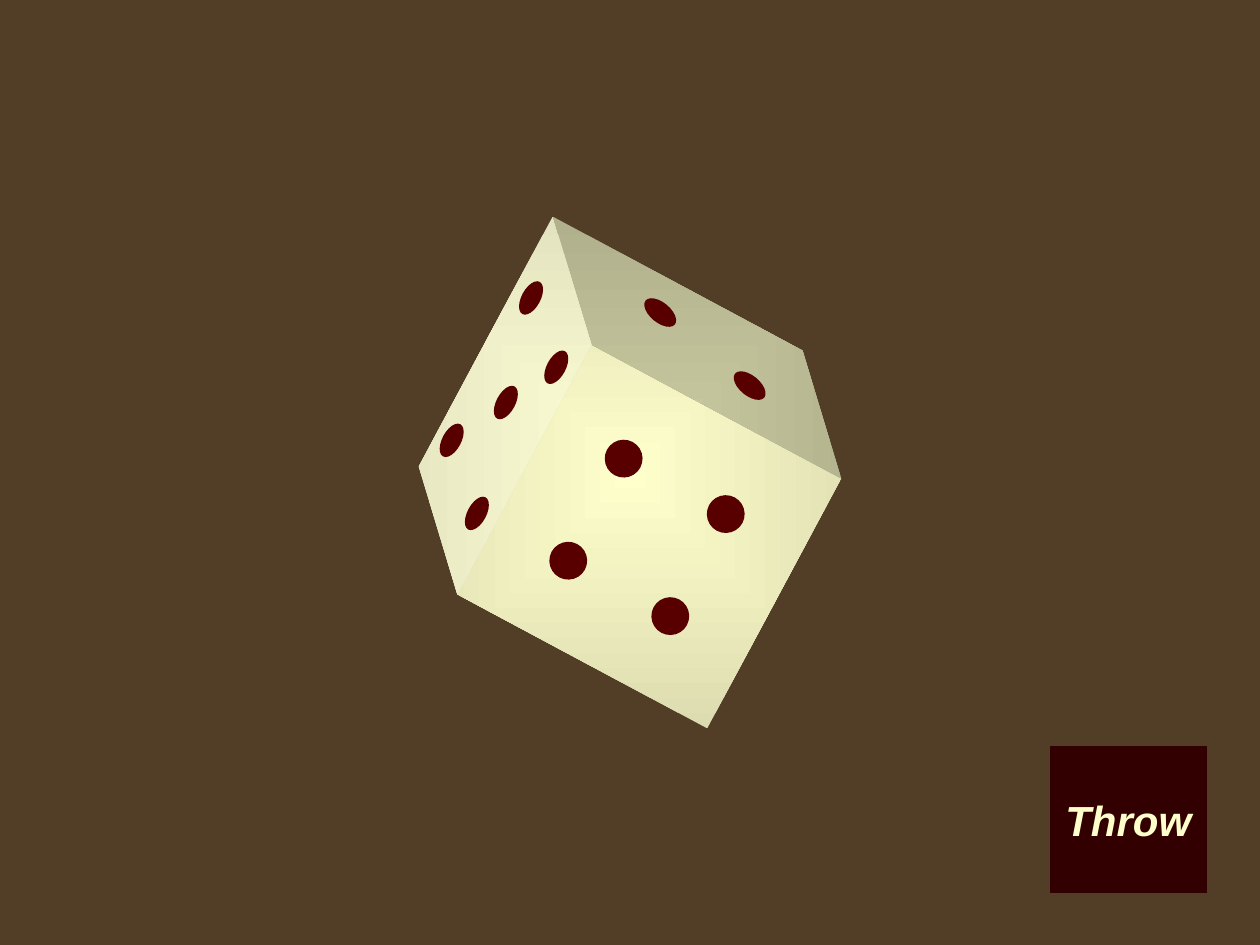
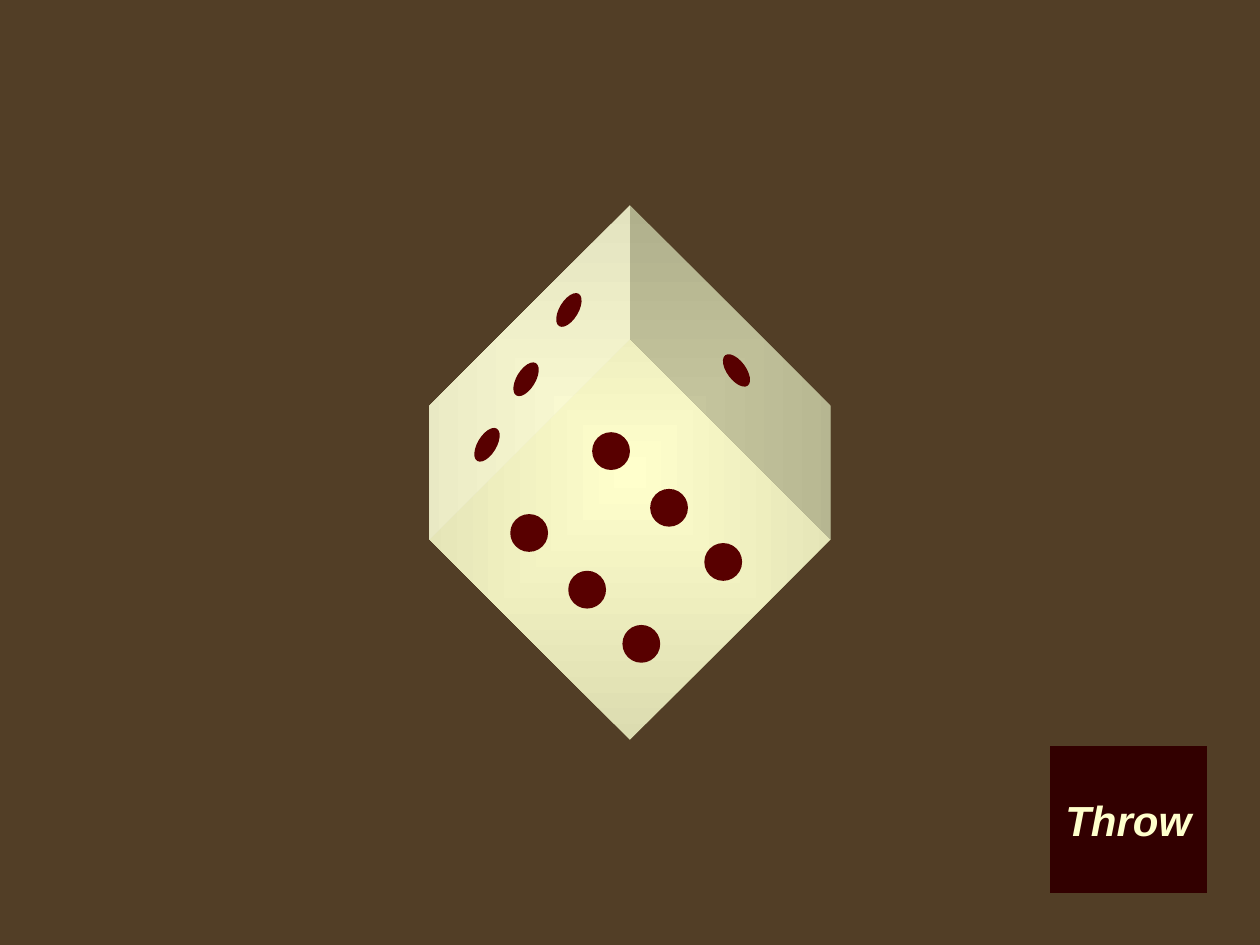
from dataclasses import dataclass

from lxml.etree import SubElement as add_sub
from pptx import Presentation
from pptx.dml.color import RGBColor
from pptx.enum.shapes import MSO_SHAPE as Kind
from pptx.enum.text import MSO_ANCHOR as Anchor, PP_ALIGN as Align
from pptx.oxml.ns import qn
from pptx.shapes.autoshape import Shape
from pptx.slide import Slide
from pptx.util import Inches, Pt

TABLE = "523E26"
IVORY = "FFFFCC"
SHADE = "DCDCB0"
PIP = "580000"
BUTTON = "320000"
FONT = "Arial"

Spot = tuple[float, float]


@dataclass
class Face:
    width: float
    height: float
    turn: float
    spots: list[Spot]


@dataclass
class Die:
    turn: float
    faces: list[Face]


def tint(code: str) -> RGBColor:
    return RGBColor.from_string(code)


def two_rows(row: list[Spot], right: float, down: float) -> list[Spot]:
    return row + [(x + right, y + down) for x, y in row]


def add_form(slide: Slide, kind: Kind, left: float, top: float,
             width: float, height: float, color: str, turn: float = 0) -> Shape:
    form = slide.shapes.add_shape(
        kind, Inches(left), Inches(top), Inches(width), Inches(height))
    form.rotation = turn
    form.shadow.inherit = False
    form.fill.solid()
    form.fill.fore_color.rgb = tint(color)
    form.line.fill.background()
    return form


def glow(form: Shape) -> None:
    form.fill.gradient()
    for stop, color in zip(form.fill.gradient_stops, (IVORY, SHADE)):
        stop.color.rgb = tint(color)
    grad = form.element.spPr.find(qn("a:gradFill"))
    grad.set("rotWithShape", "0")
    grad.remove(grad.find(qn("a:lin")))
    route = add_sub(grad, qn("a:path"), {"path": "rect"})
    add_sub(route, qn("a:fillToRect"), dict.fromkeys("ltrb", "50000"))


def add_die(slide: Slide, die: Die) -> None:
    cube = add_form(slide, Kind.CUBE, 3.5, 2.25, 3, 3, IVORY, die.turn)
    cube.adjustments[0] = 0.25
    glow(cube)
    for face in die.faces:
        for left, top in face.spots:
            add_form(slide, Kind.OVAL, left, top, face.width, face.height,
                     PIP, face.turn)


def add_button(slide: Slide) -> None:
    button = add_form(slide, Kind.ACTION_BUTTON_CUSTOM,
                      8.33, 5.92, 1.25, 1.17, BUTTON)
    frame = button.text_frame
    frame.word_wrap = False
    frame.vertical_anchor = Anchor.MIDDLE
    para = frame.paragraphs[0]
    para.alignment = Align.CENTER
    run = para.add_run()
    run.text = "Throw"
    font = run.font
    font.name = FONT
    font.size = Pt(24)
    font.bold = font.italic = True
    font.color.rgb = tint(IVORY)


DICE = [
    Die(298.2, [
        Face(0.29, 0.15, 298.2, [(3.44, 3.42), (3.64, 4), (4.07, 2.29),
                                 (4.27, 2.84), (3.87, 3.12)]),
        Face(0.3, 0.3, 298.2,
             two_rows([(4.36, 4.3), (5.17, 4.74)], 0.44, -0.81)),
        Face(0.3, 0.16, 219.4, [(5.8, 2.98), (5.09, 2.4)]),
    ]),
    Die(315, [
        Face(0.3, 0.3, 315,
             two_rows([(4.05, 4.08), (4.51, 4.53), (4.94, 4.96)],
                      0.65, -0.65)),
        Face(0.15, 0.3, 31.2, [(4.44, 2.31), (4.1, 2.86), (3.79, 3.38)]),
        Face(0.15, 0.3, 323.5, [(5.77, 2.79)]),
    ]),
]


def main() -> None:
    deck = Presentation()
    deck.slide_width = Inches(10)
    deck.slide_height = Inches(7.5)
    for die in DICE:
        slide = deck.slides.add_slide(deck.slide_layouts[6])
        back = slide.background.fill
        back.solid()
        back.fore_color.rgb = tint(TABLE)
        add_die(slide, die)
        add_button(slide)
    deck.save("out.pptx")


if __name__ == "__main__":
    main()
